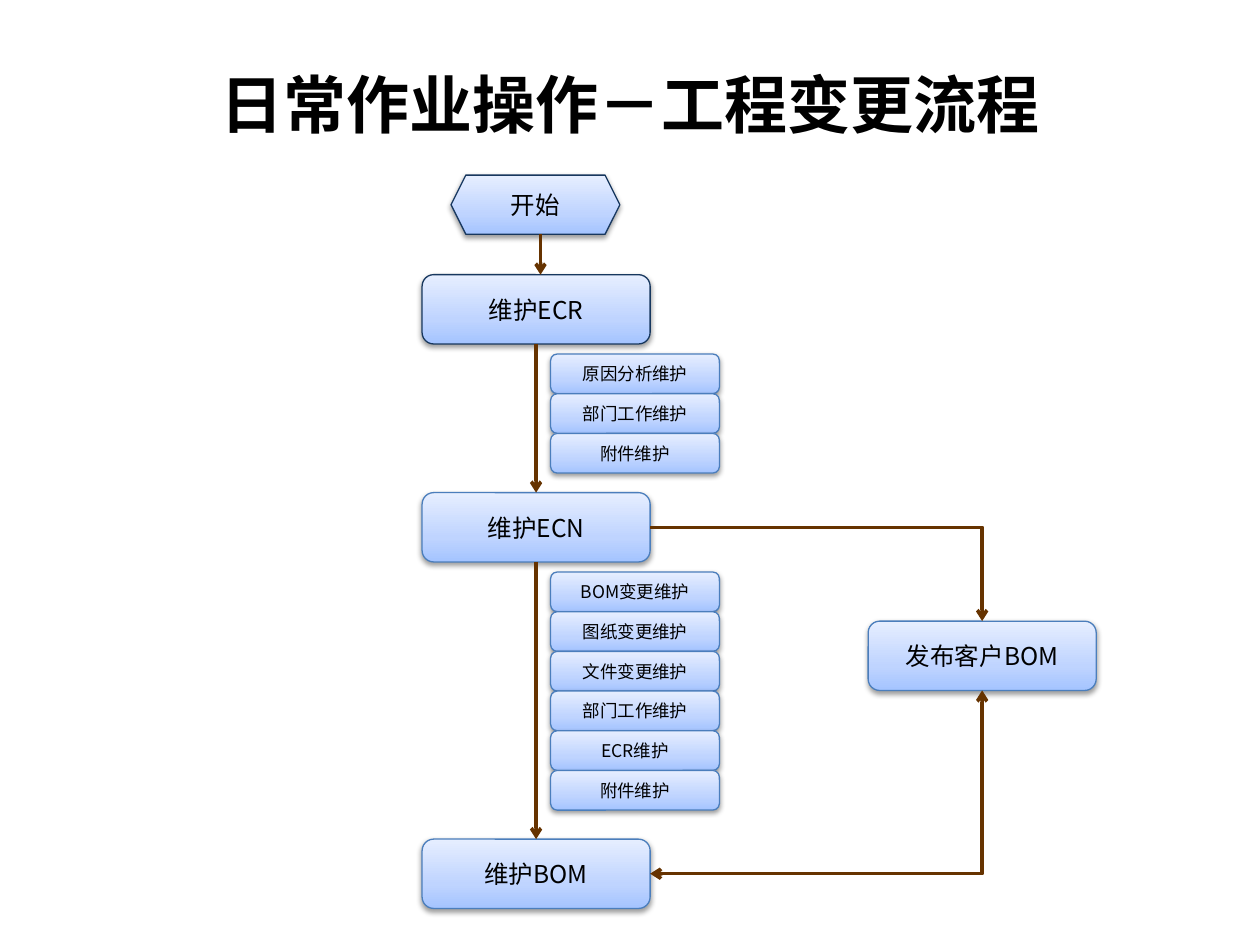
from copy import deepcopy

from lxml import etree
from pptx import Presentation
from pptx.dml.color import RGBColor
from pptx.enum.shapes import MSO_CONNECTOR, MSO_SHAPE
from pptx.enum.text import MSO_ANCHOR, PP_ALIGN
from pptx.oxml.ns import qn
from pptx.util import Inches, Pt

ROUNDED = MSO_SHAPE.ROUNDED_RECTANGLE
HEXAGON = MSO_SHAPE.HEXAGON
STRAIGHT = MSO_CONNECTOR.STRAIGHT
ELBOW = MSO_CONNECTOR.ELBOW
CENTER = PP_ALIGN.CENTER
MIDDLE = MSO_ANCHOR.MIDDLE
TOP, LEFT, BOTTOM, RIGHT = range(4)

MAIN_LEFT, MAIN_WIDTH, MAIN_HEIGHT = 3.35, 1.81, 0.55
STEP_LEFT, STEP_WIDTH, STEP_HEIGHT = 4.37, 1.34, 0.315


def color(value):
    return RGBColor.from_string(value)


def write(frame, text, size=14, font="Noto Sans CJK SC", bold=False, ink="000000"):
    frame.word_wrap = True
    para = frame.paragraphs[0]
    para.alignment = CENTER
    span = para.add_run()
    span.text = text
    span.font.size = Pt(size)
    span.font.bold = bold
    span.font.color.rgb = color(ink)
    span.font.name = font
    etree.SubElement(span.font._element, qn("a:ea"), typeface=font)


class FlowPage:
    gradient = ((0, "A4C4FF"), (0.35, "BFD4FF"), (1, "E6EEFF"))
    border = "4B7EBC"
    dark_border = "17375E"
    arrow_ink = "663300"

    def __init__(self, page):
        self.page = page

    def title(self, text):
        box = self.page.shapes.add_textbox(
            Inches(0), Inches(0.47), Inches(10), Inches(0.71))
        write(box.text_frame, text, size=36, font="Noto Sans CJK TC", bold=True)

    def box(self, text, left, top, width=MAIN_WIDTH, height=MAIN_HEIGHT,
            kind=ROUNDED, size=14, border=border):
        box = self.page.shapes.add_shape(
            kind, Inches(left), Inches(top), Inches(width), Inches(height))
        self.shade(box)
        box.line.color.rgb = color(border)
        box.line.width = Pt(0.75)
        self.shadow(box)
        box.text_frame.vertical_anchor = MIDDLE
        write(box.text_frame, text, size=size)
        return box

    def shade(self, box):
        box.fill.gradient()
        box.fill.gradient_angle = 90
        stops = box._element.spPr.find(qn("a:gradFill")).find(qn("a:gsLst"))
        stops.insert(1, deepcopy(stops[0]))
        for stop, (position, value) in zip(box.fill.gradient_stops, self.gradient):
            stop.position = position
            stop.color.rgb = color(value)

    def shadow(self, box):
        box.shadow.inherit = False
        effects = box._element.spPr.find(qn("a:effectLst"))
        shadow = etree.SubElement(
            effects, qn("a:outerShdw"), blurRad=str(Pt(3.1)), dist=str(Pt(1.6)),
            dir="5400000", rotWithShape="0")
        ink = etree.SubElement(shadow, qn("a:srgbClr"), val="000000")
        etree.SubElement(ink, qn("a:alpha"), val="38000")

    def steps(self, names, top):
        for index, name in enumerate(names):
            self.box(name, STEP_LEFT, top + index * STEP_HEIGHT,
                     width=STEP_WIDTH, height=STEP_HEIGHT, size=10)

    def arrow(self, start, end, kind=STRAIGHT, both=False):
        line = self.page.shapes.add_connector(
            kind, *(Inches(value) for value in start + end))
        line.line.color.rgb = color(self.arrow_ink)
        line.line.width = Pt(2)
        stroke = line.line._get_or_add_ln()
        if both:
            etree.SubElement(stroke, qn("a:headEnd"), type="arrow")
        etree.SubElement(stroke, qn("a:tailEnd"), type="arrow")
        etree.SubElement(line._element.spPr, qn("a:effectLst"))
        return line

    def join(self, source, source_side, target, target_side, kind=STRAIGHT, both=False):
        line = self.arrow((0, 0), (1, 1), kind, both)
        line.begin_connect(source, source_side)
        line.end_connect(target, target_side)
        if kind == ELBOW:
            line._element.spPr.find(qn("a:prstGeom")).set("prst", "bentConnector2")


def main():
    deck = Presentation()
    deck.slide_width = Inches(10)
    deck.slide_height = Inches(7.5)
    flow = FlowPage(deck.slides.add_slide(deck.slide_layouts[6]))

    flow.title("日常作业操作－工程变更流程")
    flow.box("开始", 3.58, 1.39, width=1.34, height=0.47, kind=HEXAGON,
             border=flow.dark_border)
    request = flow.box("维护ECR", MAIN_LEFT, 2.18, border=flow.dark_border)
    notice = flow.box("维护ECN", MAIN_LEFT, 3.91)
    materials = flow.box("维护BOM", MAIN_LEFT, 6.66)
    release = flow.box("发布客户BOM", 6.89, 4.93)

    flow.arrow((4.29, 1.86), (4.29, 2.18))
    flow.join(request, BOTTOM, notice, TOP)
    flow.join(notice, BOTTOM, materials, TOP)
    flow.join(notice, RIGHT, release, TOP, kind=ELBOW)
    flow.join(materials, RIGHT, release, BOTTOM, kind=ELBOW, both=True)

    flow.steps(["原因分析维护", "部门工作维护", "附件维护"], 2.81)
    flow.steps(["BOM变更维护", "图纸变更维护", "文件变更维护",
                "部门工作维护", "ECR维护", "附件维护"], 4.54)

    deck.save("out.pptx")


if __name__ == "__main__":
    main()
